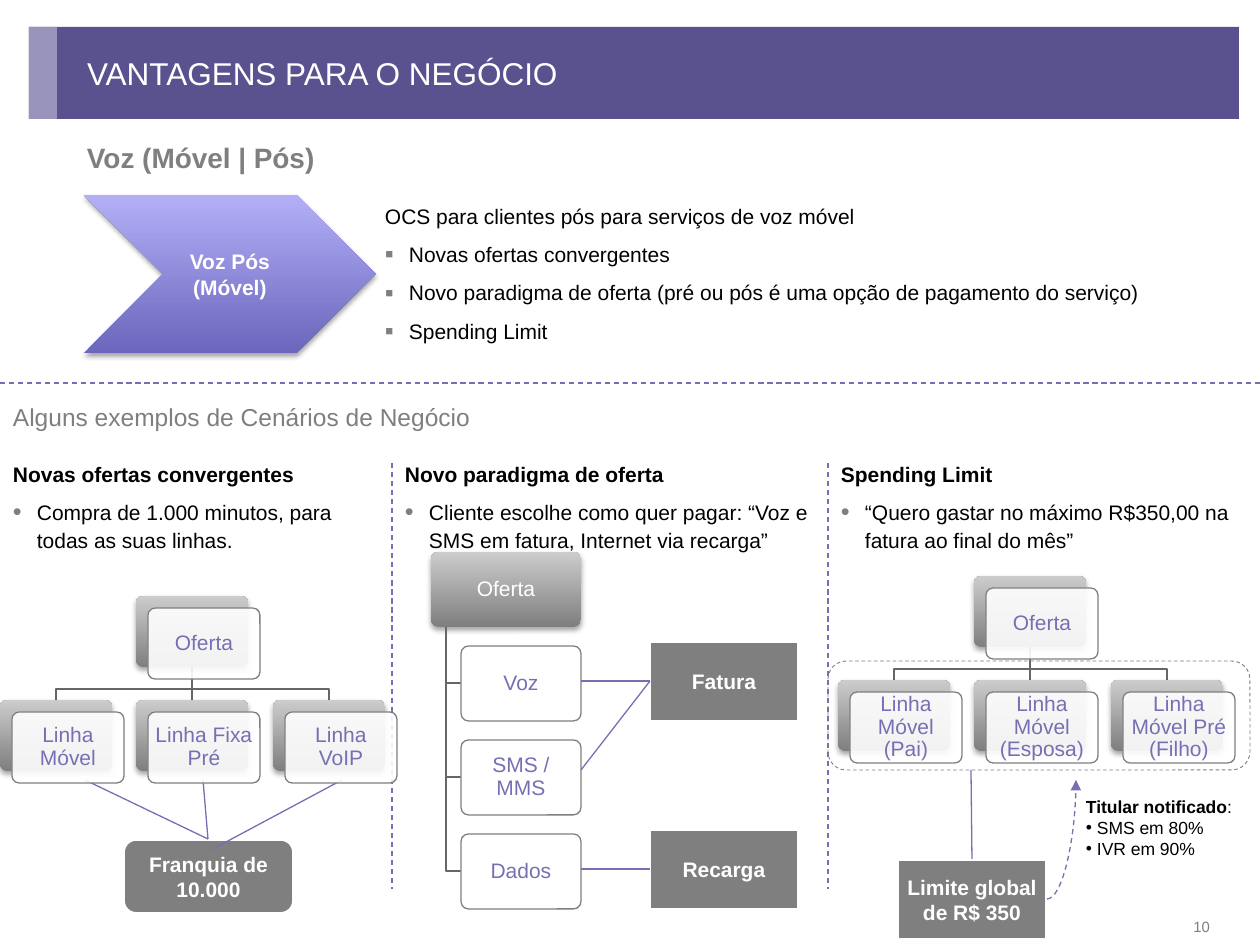
import pptx
import pptx.dml.color
import pptx.enum.dml
import pptx.enum.shapes
import pptx.enum.text
import pptx.oxml
import pptx.oxml.ns
import pptx.util

SCALE = 914400 / 126  # EMU per px
COLORS = {
    "band": "5A528F", "band_light": "9894BB", "purple": "7570B3",
    "violet_dark": "6C66BD", "violet_light": "B3AFF7",
    "gray": "7F7F7F", "gray_light": "CCCCCC", "branch": "666666",
    "white": "FFFFFF", "black": "000000",
}
SHAPE = pptx.enum.shapes.MSO_SHAPE
CONNECTOR = pptx.enum.shapes.MSO_CONNECTOR
ALIGN = pptx.enum.text.PP_ALIGN
ANCHOR = pptx.enum.text.MSO_ANCHOR
DASH = pptx.enum.dml.MSO_LINE.DASH


def px(n):
    return pptx.util.Emu(round(n * SCALE))


def rgb(name):
    return pptx.dml.color.RGBColor.from_string(COLORS[name])


def add_xml(parent, xml):
    head, tail = xml.split(" ", 1) if " " in xml else (xml[:-2], "/>")
    el = pptx.oxml.parse_xml(f"{head} {pptx.oxml.ns.nsdecls('a')} {tail}")
    parent.append(el)


class Deck:
    font = "Arial"

    def __init__(self, prs):
        self.slide = prs.slides.add_slide(prs.slide_layouts[5])
        self.shapes = self.slide.shapes

    def style(self, p, size, color, bold=False):
        for r in p.runs:
            r.font.name = self.font
            r.font.size = pptx.util.Pt(size)
            r.font.bold = bold
            r.font.color.rgb = rgb(color)

    def frame(self, tf, insets, anchor):
        tf.word_wrap = True
        tf.auto_size = pptx.enum.text.MSO_AUTO_SIZE.NONE
        tf.vertical_anchor = anchor
        tf.margin_left, tf.margin_top, tf.margin_right, tf.margin_bottom = map(px, insets)

    def title(self, text, box):
        sp = self.shapes.title
        self.shapes._spTree.append(sp._element)  # in front of the band
        sp.left, sp.top, sp.width, sp.height = map(px, box)
        tf = sp.text_frame
        tf.text = text
        self.frame(tf, (13, 6, 13, 6), ANCHOR.MIDDLE)
        tf.paragraphs[0].alignment = ALIGN.LEFT
        self.style(tf.paragraphs[0], 18, "white")

    def text(self, box, lines, size=12, color="black", bold=False, bullet=None,
             head_bold=False, hang=24, spacing=1.1, after=6, bullet_style=("gray", 120),
             insets=(13, 6, 13, 6)):
        """The first line is a heading; the others take the bullet."""
        tf = self.shapes.add_textbox(*map(px, box)).text_frame
        self.frame(tf, insets, ANCHOR.TOP)
        tf.text = "\n".join(lines)
        for i, p in enumerate(tf.paragraphs):
            self.style(p, size, color, bold or (head_bold and i == 0))
            p.line_spacing = spacing
            p.space_after = pptx.util.Pt(after)
            pPr = p._p.get_or_add_pPr()
            if hang:
                pPr.set("marL", str(px(hang)))
                pPr.set("indent", str(-px(hang)))
            if bullet and i:
                tone, percent = bullet_style
                add_xml(pPr, f'<a:buClr ><a:srgbClr val="{COLORS[tone]}"/></a:buClr>')
                add_xml(pPr, f'<a:buSzPct val="{percent * 1000}"/>')
                add_xml(pPr, '<a:buFont typeface="Arial"/>')
                add_xml(pPr, f'<a:buChar char="{bullet}"/>')
        return tf

    def shape(self, kind, box, fill=None, line=None, width=0.75, adj=None, alpha=None,
              gradient=None, dash=None):
        sp = self.shapes.add_shape(kind, *map(px, box))
        sp.shadow.inherit = False
        if adj is not None:
            sp.adjustments[0] = adj
        if gradient:
            sp.fill.gradient()
            sp.fill.gradient_angle = 90
            for stop, color in zip(sp.fill.gradient_stops, gradient):
                stop.color.rgb = rgb(color)
            effects = sp._element.spPr.find(pptx.oxml.ns.qn("a:effectLst"))
            add_xml(effects, '<a:outerShdw blurRad="39370" dist="22860" dir="5400000" '
                    'rotWithShape="0"><a:srgbClr val="000000"><a:alpha val="35000"/>'
                    '</a:srgbClr></a:outerShdw>')
        elif fill:
            sp.fill.solid()
            sp.fill.fore_color.rgb = rgb(fill)
            if alpha:
                clr = sp._element.spPr.find(".//" + pptx.oxml.ns.qn("a:srgbClr"))
                add_xml(clr, f'<a:alpha val="{alpha * 1000}"/>')
        else:
            sp.fill.background()
        self.stroke(sp.line, line, width, dash)
        return sp

    def stroke(self, ln, color, width=0.75, dash=None):
        if color is None:
            ln.fill.background()
            return
        ln.color.rgb = rgb(color)
        ln.width = pptx.util.Pt(width)
        if dash:
            ln.dash_style = dash

    def label(self, sp, text, color="white", bold=False, spacing=1.0, insets=(5, 5, 5, 5)):
        tf = sp.text_frame
        tf.text = text
        self.frame(tf, insets, ANCHOR.MIDDLE)
        p = tf.paragraphs[0]
        p.alignment = ALIGN.CENTER
        p.line_spacing = spacing
        self.style(p, 12, color, bold)

    def solid_box(self, box, text, kind=SHAPE.RECTANGLE):
        self.label(self.shape(kind, box, "gray", "white", 1), text, bold=True)

    def raised(self, box):
        return self.shape(SHAPE.ROUNDED_RECTANGLE, box, adj=0.1,
                          gradient=("gray", "gray_light"))

    def outlined(self, box, text):
        sp = self.shape(SHAPE.ROUNDED_RECTANGLE, box, "white", "gray", adj=0.1, alpha=90)
        self.label(sp, text, "purple", spacing=0.9, insets=(5, 4, 5, 4))

    def line(self, x1, y1, x2, y2, dash=None, kind=CONNECTOR.STRAIGHT):
        cx = self.shapes.add_connector(kind, *map(px, (x1, y1, x2, y2)))
        self.stroke(cx.line, "purple", dash=dash)
        add_xml(cx._element.spPr, "<a:effectLst/>")
        return cx

    def curved_arrow(self, *ends):
        cx = self.line(*ends, dash=DASH, kind=CONNECTOR.CURVE)
        cx._element.spPr.find(pptx.oxml.ns.qn("a:prstGeom")).set("prst", "curvedConnector2")
        add_xml(cx.line._get_or_add_ln(), '<a:tailEnd type="triangle"/>')

    def branch(self, points):
        (x, y), *rest = [(px(a), px(b)) for a, b in points]
        builder = self.shapes.build_freeform(x, y)
        builder.add_line_segments(rest, close=False)
        sp = builder.convert_to_shape()
        sp.shadow.inherit = False
        sp.fill.background()
        self.stroke(sp.line, "branch")

    def tree(self, x, y, root, children):
        w, h, offset, drop = 112, 71, 12, 104
        columns = [x, x + 136, x + 273]
        stem, bend = columns[1] + w // 2, y + h + 22
        for left in columns:
            foot = left + w // 2
            points = [(stem, y + h), (stem, bend), (foot, bend), (foot, y + drop)]
            self.branch(points if foot != stem else [points[0], points[-1]])
        cards = [(columns[1], y, root)] + [(c, y + drop, t) for c, t in zip(columns, children)]
        for left, top, text in cards:
            self.raised((left, top, w, h))
            self.outlined((left + offset, top + offset, w, h), text)


def main():
    prs = pptx.Presentation()
    prs.slide_width, prs.slide_height = px(1260), px(945)
    d = Deck(prs)

    # Title band, page number and subtitle
    d.shape(SHAPE.RECTANGLE, (29, 27, 1210, 92), "band")
    d.shape(SHAPE.RECTANGLE, (29, 27, 28, 92), "band_light")
    d.title("VANTAGENS PARA O NEGÓCIO", (74, 29, 963, 88))
    number = d.text((1093, 900, 122, 45), ["10"], 8.5, "gray", spacing=pptx.util.Pt(12),
                    hang=0, after=0, insets=(5, 5, 5, 0))
    number.vertical_anchor = ANCHOR.MIDDLE
    number.paragraphs[0].alignment = ALIGN.RIGHT
    d.text((74, 131, 1144, 50), ["Voz (Móvel | Pós)"], 16, "gray", bold=True)

    # Chevron with its benefits
    chevron = d.shape(SHAPE.CHEVRON, (84, 195, 292, 158),
                      gradient=("violet_dark", "violet_light"))
    d.label(chevron, "Voz Pós (Móvel)", bold=True, insets=(0, 5, 0, 5))
    d.text((372, 195, 843, 158), [
        "OCS para clientes pós para serviços de voz móvel",
        "Novas ofertas convergentes",
        "Novo paradigma de oferta (pré ou pós é uma opção de pagamento do serviço)",
        "Spending Limit"], bullet="▪")

    # Scenario columns
    d.text((0, 393, 1260, 43), ["Alguns exemplos de Cenários de Negócio"], 14, "gray")
    d.line(0, 383, 1260, 383, DASH)
    edges = [0, 392, 828, 1260]
    for x in edges[1:3]:
        d.line(x, 463, x, 889, DASH)
    scenarios = [
        ("Novas ofertas convergentes", "Compra de 1.000 minutos, para todas as suas linhas."),
        ("Novo paradigma de oferta",
         "Cliente escolhe como quer pagar: “Voz e SMS em fatura, Internet via recarga”"),
        ("Spending Limit", "“Quero gastar no máximo R$350,00 na fatura ao final do mês”"),
    ]
    for left, right, lines in zip(edges, edges[1:], scenarios):
        d.text((left, 453, right - left, 446), lines, bullet="•", head_bold=True)

    # Spending limit: family tree and notification
    d.tree(838, 576, "Oferta",
           ["Linha Móvel (Pai)", "Linha Móvel (Esposa)", "Linha Móvel Pré (Filho)"])
    d.shape(SHAPE.ROUNDED_RECTANGLE, (828, 661, 422, 109), line="gray", width=0.5, dash=DASH)
    d.curved_arrow(1047, 899, 1076, 780)
    d.line(971, 770, 972, 859)
    d.solid_box((898, 860, 148, 79), "Limite global de R$ 350")
    notice = d.text((1086, 790, 174, 77), ["Titular notificado", "SMS em 80%", "IVR em 90%"],
                    10, bullet="•", head_bold=True, hang=11, spacing=1, after=0,
                    bullet_style=("black", 100), insets=(0, 6, 0, 6))
    heading = notice.paragraphs[0]
    heading.add_run().text = ":"
    d.style(heading, 10, "black", True)
    heading.runs[1].font.bold = False

    # New offer: services and how each is paid
    d.label(d.raised((431, 552, 150, 75)), "Oferta", spacing=0.9)
    for i, service in enumerate(["Voz", "SMS / MMS", "Dados"]):
        top = 646 + 94 * i
        d.branch([(446, 627), (446, top + 37), (461, top + 37)])
        d.outlined((461, top, 120, 75), service)
    for top, payment in ((642, "Fatura"), (830, "Recarga")):
        d.solid_box((650, top, 148, 79), payment)
    for start, end in ((681, 681), (770, 681), (869, 869)):
        d.line(581, start, 650, end)

    # Convergent offers: lines sharing one allowance
    d.solid_box((124, 840, 169, 73), "Franquia de 10.000", SHAPE.ROUNDED_RECTANGLE)
    for ends in ((85, 780, 208, 839), (203, 780, 208, 839), (213, 849, 342, 780)):
        d.line(*ends)
    d.tree(0, 596, "Oferta", ["Linha Móvel", "Linha Fixa Pré", "Linha VoIP"])

    prs.save("out.pptx")


if __name__ == "__main__":
    main()
